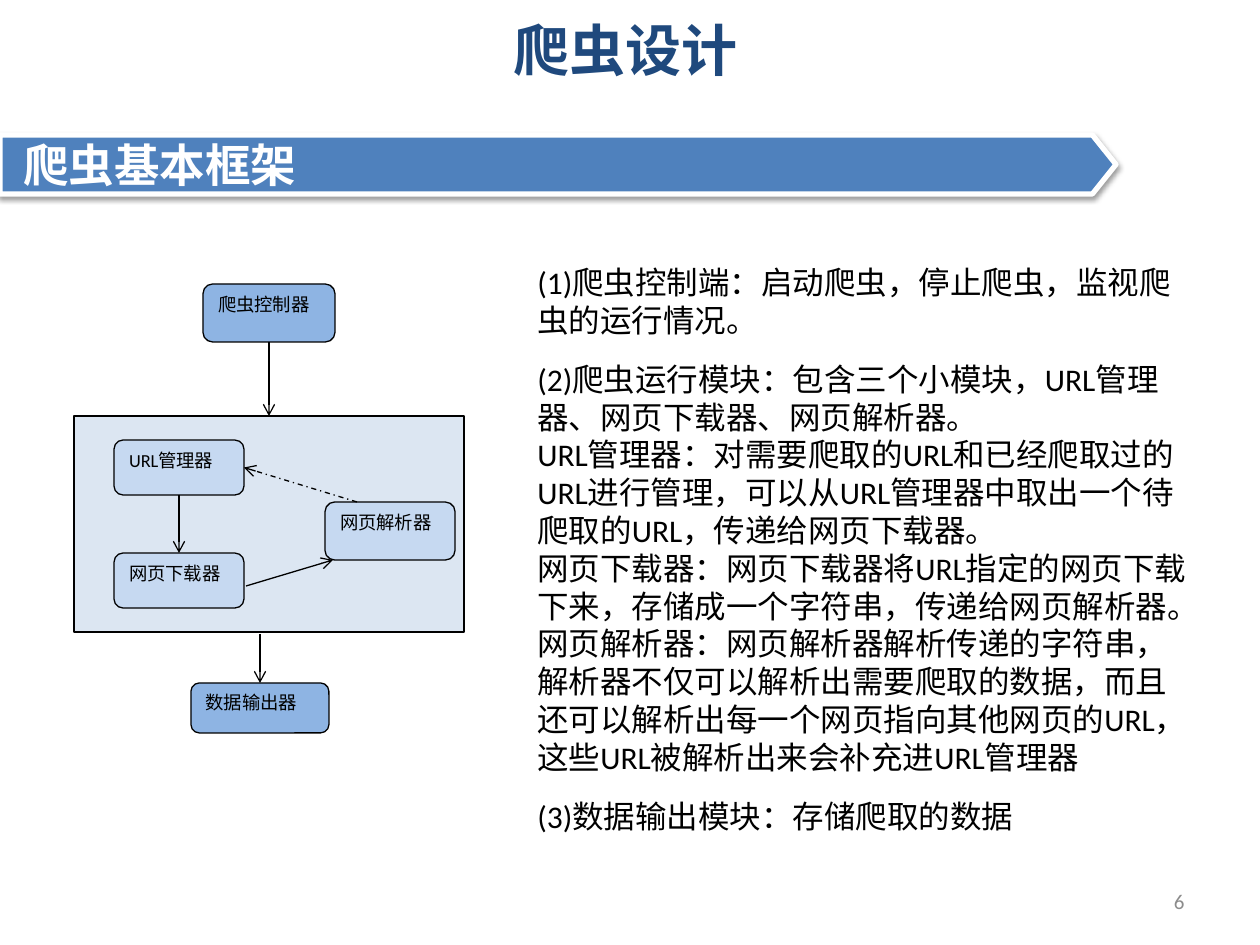
from lxml import etree
from pptx import Presentation, util as u
from pptx.dml.color import RGBColor
from pptx.enum import dml, shapes, text
from pptx.oxml import parse_xml
from pptx.oxml.ns import nsdecls, qn

WHITE = RGBColor(0xFF, 0xFF, 0xFF)
BLACK = RGBColor(0, 0, 0)
NAVY = RGBColor(0x1F, 0x49, 0x7D)
GRAY = RGBColor(0x8C, 0x8C, 0x8C)
BANNER = RGBColor(0x4F, 0x81, 0xBD)
FRAME = RGBColor(0xDC, 0xE6, 0xF2)
OUTER = RGBColor(0x8E, 0xB4, 0xE3)
INNER = RGBColor(0xC6, 0xD9, 0xF1)

SHAPE = shapes.MSO_SHAPE
ALIGN = text.PP_ALIGN
ANCHOR = text.MSO_ANCHOR
BODY = [
    ("(1)爬虫控制端：启动爬虫，停止爬虫，监视爬虫的运行情况。", 0),
    ("(2)爬虫运行模块：包含三个小模块，URL管理器、网页下载器、网页解析器。", 12),
    ("URL管理器：对需要爬取的URL和已经爬取过的URL进行管理，可以从URL管理器中取出一个待爬取的URL，传递给网页下载器。", 0),
    ("网页下载器：网页下载器将URL指定的网页下载下来，存储成一个字符串，传递给网页解析器。", 0),
    ("网页解析器：网页解析器解析传递的字符串，解析器不仅可以解析出需要爬取的数据，而且还可以解析出每一个网页指向其他网页的URL，这些URL被解析出来会补充进URL管理器", 0),
    ("(3)数据输出模块：存储爬取的数据", 12),
]


def px(n):
    return u.Emu(round(n * 914400 / 126))


class Deck:
    font = "Calibri"

    def __init__(self, width, height):
        self.prs = Presentation()
        self.prs.slide_width, self.prs.slide_height = px(width), px(height)
        self.s = self.prs.slides.add_slide(self.prs.slide_layouts[6])

    def put_text(self, sp, paragraphs, align=ALIGN.LEFT, frame=None, **font):
        tf = sp.text_frame
        layout = {"word_wrap": True, "vertical_anchor": ANCHOR.TOP}
        for name, value in (layout | (frame or {})).items():
            setattr(tf, name, value)
        color = font.pop("color", BLACK)
        for i, (line, before) in enumerate(paragraphs):
            p = tf.add_paragraph() if i else tf.paragraphs[0]
            p.alignment = align
            if before:
                p.space_before = u.Pt(before)
            r = p.add_run()
            r.text = line
            for name, value in ({"name": self.font} | font).items():
                setattr(r.font, name, value)
            r.font.color.rgb = color

    def label(self, box, paragraphs, **style):
        sp = self.s.shapes.add_textbox(*map(px, box))
        self.put_text(sp, paragraphs, **style)
        return sp

    def shape(self, kind, box, fill, line=BLACK, weight=0.75):
        sp = self.s.shapes.add_shape(kind, *map(px, box))
        sp.shadow.inherit = False
        sp.fill.solid()
        sp.fill.fore_color.rgb = fill
        sp.line.color.rgb = line
        sp.line.width = u.Pt(weight)
        return sp

    def module(self, box, name, fill):
        sp = self.shape(SHAPE.ROUNDED_RECTANGLE, box, fill)
        self.put_text(sp, [(name, 0)], align=ALIGN.JUSTIFY, size=u.Pt(10.5))
        return sp

    def banner(self, box, title):
        sp = self.shape(SHAPE.PENTAGON, box, BANNER, WHITE, 3)
        sp.adjustments[0] = 0.4
        effects = sp._element.spPr.find(qn("a:effectLst"))
        effects.append(parse_xml(
            f'<a:outerShdw {nsdecls("a")} blurRad="40000" dist="20000" '
            'dir="5400000" rotWithShape="0"><a:srgbClr val="000000">'
            '<a:alpha val="38000"/></a:srgbClr></a:outerShdw>'))
        self.put_text(sp, [(title, 0)], size=u.Pt(26), bold=True, color=WHITE,
                      frame={"word_wrap": False, "margin_left": px(23),
                             "vertical_anchor": ANCHOR.MIDDLE})

    def arrow(self, start=(0, 0), end=(0, 0), begin_at=None, end_at=None, dash=None):
        c = self.s.shapes.add_connector(
            shapes.MSO_CONNECTOR.STRAIGHT, *map(px, start + end))
        if begin_at:
            c.begin_connect(*begin_at)
        if end_at:
            c.end_connect(*end_at)
        c.line.color.rgb = BLACK
        c.line.width = u.Pt(0.75)
        if dash:
            c.line.dash_style = dash
        props = c._element.spPr
        etree.SubElement(props.find(qn("a:ln")), qn("a:tailEnd"), type="arrow")
        etree.SubElement(props, qn("a:effectLst"))


def main():
    d = Deck(1260, 945)
    middle = {"vertical_anchor": ANCHOR.MIDDLE}
    d.label((59, 0, 1134, 98), [("爬虫设计", 0)], align=ALIGN.CENTER, frame=middle,
            name="Noto Sans CJK SC", size=u.Pt(32), bold=True, color=NAVY)
    d.label((903, 876, 294, 50), [("6", 0)], align=ALIGN.RIGHT, frame=middle,
            size=u.Pt(12), color=GRAY)
    d.banner((0, 135, 1116, 59), "爬虫基本框架")

    frame = d.shape(SHAPE.RECTANGLE, (74, 416, 390, 216), FRAME)
    controller = d.module((203, 284, 132, 58), "爬虫控制器", OUTER)
    manager = d.module((114, 440, 130, 55), "URL管理器", INNER)
    downloader = d.module((114, 553, 130, 55), "网页下载器", INNER)
    d.module((325, 502, 130, 58), "网页解析器", INNER)
    output = d.module((191, 683, 138, 50), "数据输出器", OUTER)

    d.arrow(begin_at=(controller, 2), end_at=(frame, 0))
    d.arrow(begin_at=(manager, 2), end_at=(downloader, 0))
    d.arrow(start=(246, 586), end=(333, 560))
    d.arrow(start=(357, 502), end_at=(manager, 3), dash=dml.MSO_LINE.DASH_DOT)
    d.arrow(start=(260, 634), end_at=(output, 0))

    d.label((525, 257, 675, 590), BODY, size=u.Pt(18))
    d.prs.save("out.pptx")


if __name__ == "__main__":
    main()
